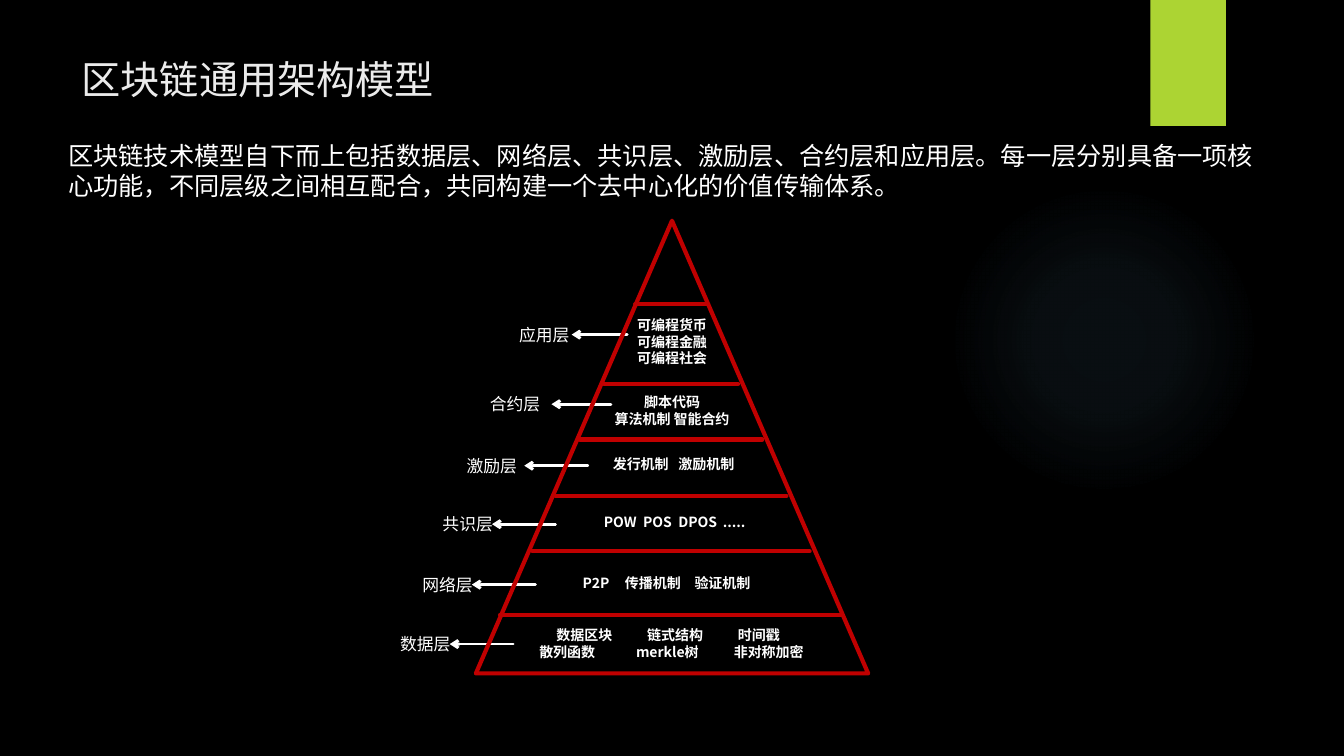
from lxml import etree
from pptx import Presentation
from pptx.dml.color import RGBColor
from pptx.enum.dml import MSO_FILL
from pptx.enum.shapes import MSO_CONNECTOR, MSO_SHAPE
from pptx.enum.text import MSO_ANCHOR, MSO_AUTO_SIZE, PP_ALIGN
from pptx.oxml import parse_xml
from pptx.oxml.ns import qn
from pptx.util import Inches, Pt

STRAIGHT = MSO_CONNECTOR.STRAIGHT
RECTANGLE, OVAL, TRIANGLE = MSO_SHAPE.RECTANGLE, MSO_SHAPE.OVAL, MSO_SHAPE.ISOSCELES_TRIANGLE
LEFT, CENTER = PP_ALIGN.LEFT, PP_ALIGN.CENTER
TOP, NO_AUTOFIT = MSO_ANCHOR.TOP, MSO_AUTO_SIZE.NONE

FONT = "Noto Sans CJK SC"
WHITE, RED, LIME, BLACK, TITLE_GREY = "FFFFFF", "C00000", "ACD433", "000000", "EBEBEB"
GLOW_STOPS = [(0, 7), (36, 6), (69, 0)]
INSET = 0.1

INTRO = ("区块链技术模型自下而上包括数据层、网络层、共识层、激励层、合约层和应用层。"
         "每一层分别具备一项核心功能，不同层级之间相互配合，共同构建一个去中心化的价值传输体系。")

# Lengths below are inches from the pyramid's top left corner.
# Dividers: left end, right end, height.
DIVIDERS = [(1.58, 2.29, 0.83), (1.27, 2.6, 1.62), (1.03, 2.84, 2.17),
            (0.79, 3.08, 2.73), (0.56, 3.31, 3.28), (0.24, 3.63, 3.91)]

# Layers: name, label left, label top, arrow start, arrow end, terms top, term lines.
# A term line is centred text, or a list of (left, term) columns.
LAYERS = [
    ("应用层", 0.33, 0.98, 1.5, 0.95, 0.9, ["可编程货币", "可编程金融", "可编程社会"]),
    ("合约层", 0.04, 1.67, 1.34, 0.75, 1.67, ["脚本代码", "算法机制 智能合约"]),
    ("激励层", -0.19, 2.28, 1.11, 0.48, 2.28, [[(1.36, "发行机制"), (2.01, "激励机制")]]),
    ("共识层", -0.43, 2.86, 0.79, 0.16, 2.86,
     [[(1.27, "POW"), (1.66, "POS"), (2.01, "DPOS"), (2.45, ".....")]]),
    ("网络层", -0.63, 3.46, 0.59, -0.04, 3.46,
     [[(1.06, "P2P"), (1.48, "传播机制"), (2.17, "验证机制")]]),
    ("数据层", -0.85, 4.05, 0.37, -0.26, 3.98,
     [[(0.8, "数据区块"), (1.7, "链式结构"), (2.6, "时间戳")],
      [(0.63, "散列函数"), (1.59, "merkle树"), (2.56, "非对称加密")]]),
]


def rgb(hex_color):
    return RGBColor.from_string(hex_color)


def set_columns(paragraph, lefts):
    """Give the paragraph a left tab stop at each of the given insets."""
    tab_list = etree.SubElement(paragraph._p.get_or_add_pPr(), qn("a:tabLst"))
    for left in lefts:
        etree.SubElement(tab_list, qn("a:tab"), pos=str(Inches(left - INSET)), algn="l")


def write_lines(frame, lines, size, color=WHITE, bold=False, align=LEFT):
    frame.word_wrap = True
    for index, line in enumerate(lines):
        paragraph = frame.add_paragraph() if index else frame.paragraphs[0]
        paragraph.line_spacing = Pt(size * 1.2)
        if isinstance(line, str):
            paragraph.alignment = align
            words = line
        else:
            paragraph.alignment = LEFT
            set_columns(paragraph, [left for left, _ in line])
            words = "".join("\t" + term for _, term in line)
        run = paragraph.add_run()
        run.text = words
        font_format = {"name": FONT, "size": Pt(size), "bold": bold}
        for attribute, value in font_format.items():
            setattr(run.font, attribute, value)
        run.font.color.rgb = rgb(color)
        etree.SubElement(run._r.get_or_add_rPr(), qn("a:ea"), typeface=FONT)


def add_text(slide, box, lines, size, **style):
    label = slide.shapes.add_textbox(*map(Inches, box))
    write_lines(label.text_frame, lines, size, **style)


def add_rule(slide, start, end, color, width, arrow=False):
    rule = slide.shapes.add_connector(STRAIGHT, *map(Inches, start + end))
    rule.line.color.rgb = rgb(color)
    rule.line.width = Pt(width)
    outline = rule.line._get_or_add_ln()
    outline.set("cap", "rnd")
    etree.SubElement(outline, qn("a:round"))
    if arrow:
        etree.SubElement(outline, qn("a:tailEnd"), type="arrow")
    etree.SubElement(rule._element.spPr, qn("a:effectLst"))


def add_preset(slide, preset, box, fill=None):
    shape = slide.shapes.add_shape(preset, *map(Inches, box))
    shape.shadow.inherit = False
    shape.line.fill.background()
    if fill:
        shape.fill.solid()
        shape.fill.fore_color.rgb = rgb(fill)
    else:
        shape.fill.background()
    return shape


def add_glow(slide, box):
    """Draw a circle that fades out from its centre."""
    glow = add_preset(slide, OVAL, box)
    stops = "".join(
        f'<a:gs pos="{position * 1000}"><a:srgbClr val="7AC4F0">'
        f'<a:alpha val="{opacity * 1000}"/></a:srgbClr></a:gs>'
        for position, opacity in GLOW_STOPS)
    gradient = parse_xml(
        '<a:gradFill xmlns:a="http://schemas.openxmlformats.org/drawingml/2006/main">'
        f'<a:gsLst>{stops}</a:gsLst><a:path path="circle">'
        '<a:fillToRect l="50000" t="50000" r="50000" b="50000"/></a:path></a:gradFill>')
    properties = glow._element.spPr
    properties.replace(properties.find(qn("a:noFill")), gradient)


def add_title(slide, box):
    title = slide.shapes.title
    placement = dict(zip(("left", "top", "width", "height"), map(Inches, box)))
    for attribute, value in placement.items():
        setattr(title, attribute, value)
    title.text_frame.auto_size = NO_AUTOFIT
    title.text_frame.vertical_anchor = TOP
    write_lines(title.text_frame, ["区块链通用架构模型"], 28, color=TITLE_GREY)


def add_pyramid(slide, box):
    left, top, width, _ = box
    for start, end, height in DIVIDERS:
        add_rule(slide, (left + start, top + height), (left + end, top + height), RED, 3)
    for name, label_left, label_top, start, end, terms_top, terms in LAYERS:
        terms_box = (left, top + terms_top, width, INSET + len(terms) * 0.17)
        add_text(slide, terms_box, terms, 10, bold=True, align=CENTER)
        add_text(slide, (left + label_left, top + label_top, 0.82, 0.3), [name], 12)
        arrow_y = top + label_top + 0.15
        add_rule(slide, (left + start, arrow_y), (left + end, arrow_y), WHITE, 2, arrow=True)
    outline = add_preset(slide, TRIANGLE, box)
    outline.line.color.rgb = rgb(RED)
    outline.line.width = Pt(3)
    etree.SubElement(outline.line._get_or_add_ln(), qn("a:round"))


def main():
    deck = Presentation()
    deck.slide_width, deck.slide_height = Inches(13.33), Inches(7.5)
    slide = deck.slides.add_slide(deck.slide_layouts[5])
    background = slide.background.fill
    if background.type != MSO_FILL.SOLID:
        background.solid()
    background.fore_color.rgb = rgb(BLACK)
    add_glow(slide, (9.41, 1.83, 3.08, 3.08))
    add_preset(slide, RECTANGLE, (11.41, 0, 0.75, 1.25), LIME)
    add_title(slide, (0.71, 0.5, 10.29, 0.8))
    add_text(slide, (0.58, 1.34, 12.16, 0.71), [INTRO], 18)
    add_pyramid(slide, (4.72, 2.19, 3.89, 4.49))
    deck.save("out.pptx")


if __name__ == "__main__":
    main()
